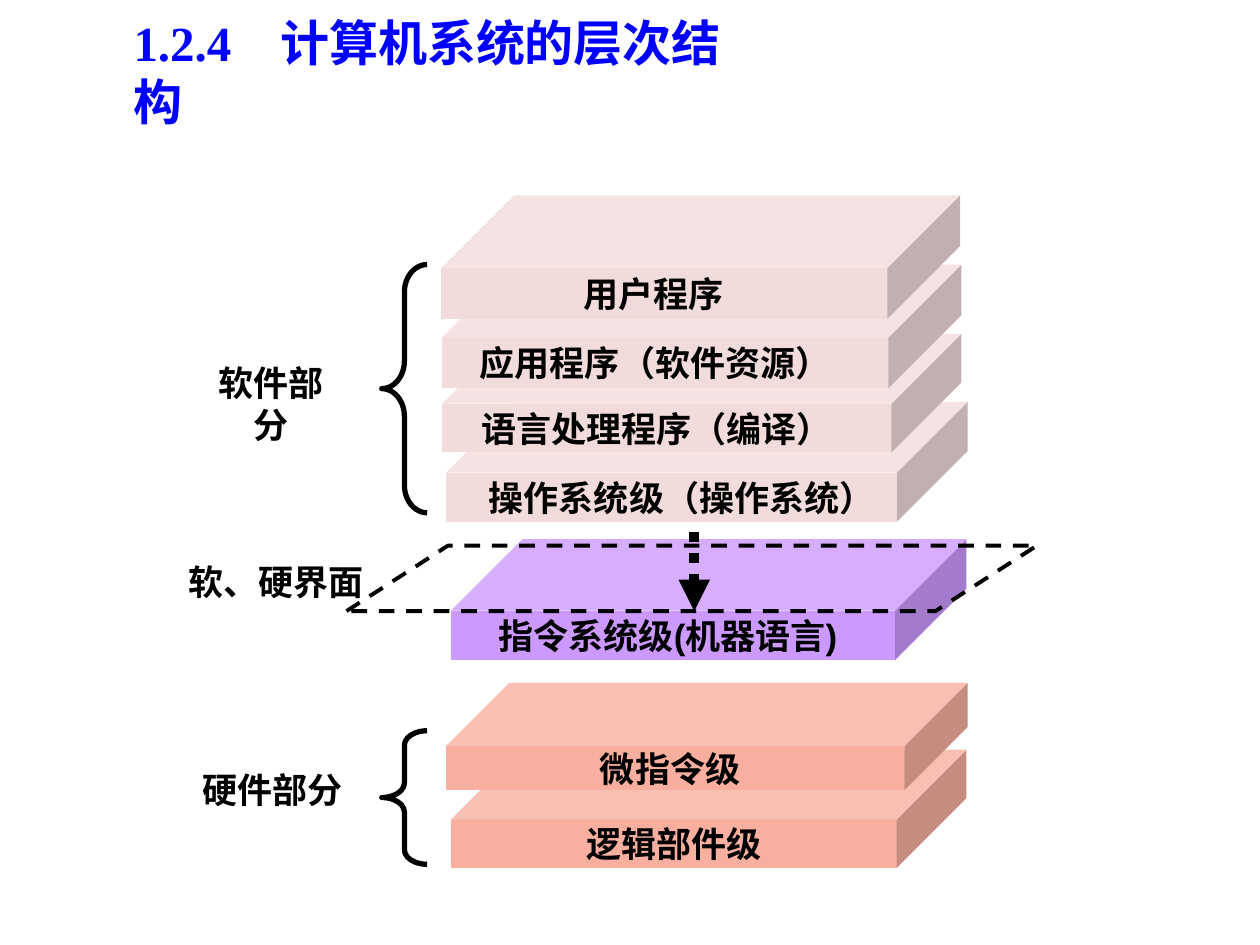
import pptx
import pptx.util
from pptx.dml.color import RGBColor
from pptx.enum.dml import MSO_LINE
from pptx.enum.shapes import MSO_CONNECTOR, MSO_SHAPE
from pptx.enum.text import MSO_ANCHOR, MSO_AUTO_SIZE, PP_ALIGN
from pptx.oxml.ns import qn
from lxml import etree

Inches, Pt = pptx.util.Inches, pptx.util.Pt
HUES = {"title": "0000FF", "ink": "000000", "soft": "F2DCDB",
        "code": "CC99FF", "hard": "F8AFA0"}
DEPTH = 0.59
SPACE = 0.08


def color(name):
    return RGBColor.from_string(HUES[name])


def place(box, x, y, w, h):
    """Turn inches from the corner of box into slide lengths."""
    return Inches(box[0] + x), Inches(box[1] + y), Inches(w), Inches(h)


def write(frame, text, align, size=20, font="Arial", hue="ink"):
    frame.word_wrap = True
    para = frame.paragraphs[0]
    para.alignment = align
    run = para.add_run()
    run.text = text
    run.font.size = Pt(size)
    run.font.name = font
    run.font.bold = True
    run.font.color.rgb = color(hue)


def shape(slide, kind, spot, adjust):
    item = slide.shapes.add_shape(kind, *spot)
    item.shadow.inherit = False
    for i, value in enumerate(adjust):
        item.adjustments[i] = value
    return item


def cube(slide, spot, text, hue, shift=0):
    """Draw one level; shift moves its centred text by that many spaces."""
    item = shape(slide, MSO_SHAPE.CUBE, spot, [DEPTH])
    item.fill.solid()
    item.fill.fore_color.rgb = color(hue)
    item.line.fill.background()
    frame = item.text_frame
    frame.vertical_anchor = MSO_ANCHOR.MIDDLE
    frame.margin_left = Inches(0.1 + SPACE * max(shift, 0))
    frame.margin_right = Inches(0.1 + SPACE * max(-shift, 0))
    write(frame, text, PP_ALIGN.CENTER)


def outline(slide, kind, spot, adjust, width):
    item = shape(slide, kind, spot, adjust)
    item.fill.background()
    item.line.color.rgb = color("ink")
    item.line.width = Pt(width)
    return item


def label(slide, spot, text):
    frame = slide.shapes.add_textbox(*spot).text_frame
    write(frame, text, PP_ALIGN.CENTER)


def arrow(slide, x, top, end):
    line = slide.shapes.add_connector(
        MSO_CONNECTOR.STRAIGHT, Inches(x), Inches(top), Inches(x), Inches(end))
    line.line.color.rgb = color("ink")
    line.line.width = Pt(6)
    line.line.dash_style = MSO_LINE.ROUND_DOT
    props = line._element.spPr
    etree.SubElement(props.find(qn("a:ln")), qn("a:tailEnd"), type="triangle")
    etree.SubElement(props, qn("a:effectLst"))


def title(slide, box):
    head = slide.shapes.title
    head.left, head.top, head.width, head.height = place(box, 0, 0, 5.23, 0.57)
    frame = head.text_frame
    frame.auto_size = MSO_AUTO_SIZE.NONE
    frame.vertical_anchor = MSO_ANCHOR.TOP
    write(frame, "1.2.4　计算机系统的层次结构", PP_ALIGN.LEFT, 28,
          "Times New Roman", "title")


def software(slide, box):
    levels = [
        (2.04, 1.64, 4.14, 0.95, "操作系统级（操作系统）", 2),
        (2.01, 1.1, 4.12, 0.94, "语言处理程序（编译）", -2),
        (2.01, 0.55, 4.12, 0.98, "应用程序（软件资源）", -2),
        (2, 0, 4.12, 0.98, "用户程序", -2),
    ]
    for x, y, w, h, text, shift in levels:
        cube(slide, place(box, x, y, w, h), text, "soft", shift)
    label(slide, place(box, 0, 1.27, 1.3, 0.45), "软件部分")
    outline(slide, MSO_SHAPE.LEFT_BRACE, place(box, 1.53, 0.55, 0.36, 1.97),
            [0.61, 0.5], 3)


def border(slide, box):
    """Draw the instruction level and the plane between soft and hard."""
    cube(slide, place(box, 2.39, 0.06, 4.09, 0.96),
         "指令系统级(机器语言)", "code", -1)
    label(slide, place(box, 0, 0.18, 2, 0.45), "软、硬界面")
    plane = outline(slide, MSO_SHAPE.PARALLELOGRAM,
                    place(box, 1.56, 0.11, 5.48, 0.52), [1.55], 2.25)
    plane.line.dash_style = MSO_LINE.DASH
    arrow(slide, box[0] + 4.32, box[1], box[1] + 0.63)


def hardware(slide, box):
    cube(slide, place(box, 2.19, 0.53, 4.09, 0.94), "逻辑部件级", "hard")
    cube(slide, place(box, 2.15, 0, 4.14, 0.85), "微指令级", "hard", -1)
    label(slide, place(box, 0, 0.63, 1.55, 0.45), "硬件部分")
    outline(slide, MSO_SHAPE.LEFT_BRACE, place(box, 1.64, 0.38, 0.36, 1.06),
            [0.32, 0.5], 3)


def main():
    deck = pptx.Presentation()
    deck.slide_width, deck.slide_height = Inches(10), Inches(7.5)
    slide = deck.slides.add_slide(deck.slide_layouts.get_by_name("Title Only"))
    title(slide, (0.96, 0.05))
    hardware(slide, (1.39, 5.42))
    software(slide, (1.5, 1.55))
    border(slide, (1.19, 4.22))
    deck.save("out.pptx")


if __name__ == "__main__":
    main()
